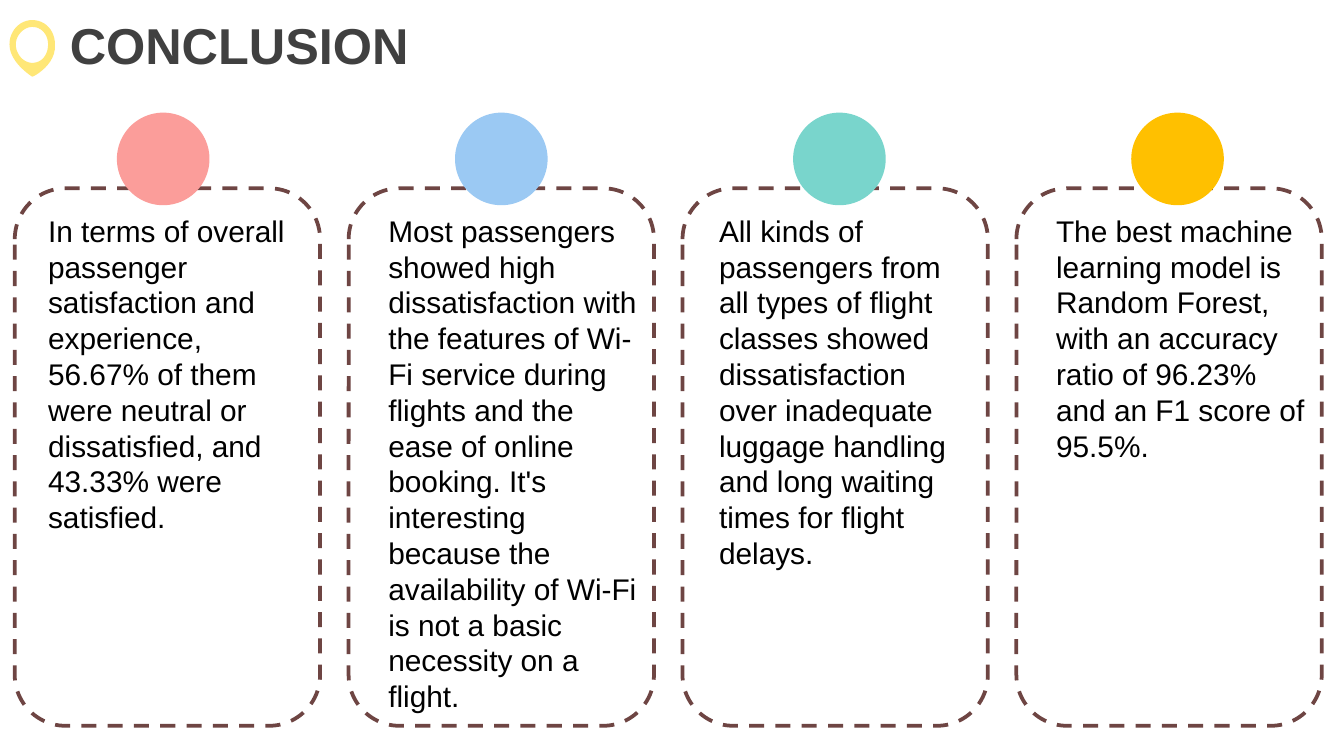
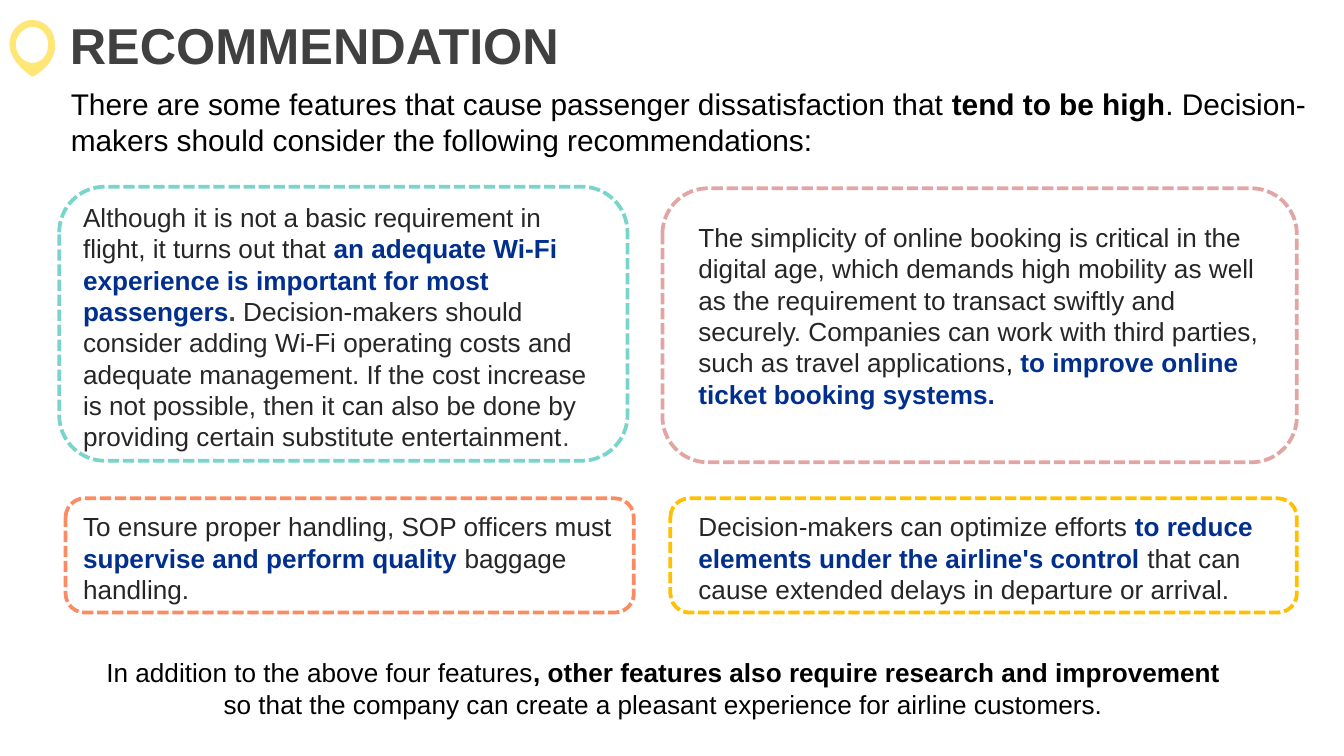
from dataclasses import dataclass
from typing import NamedTuple

from pptx import Presentation
from pptx.dml.color import RGBColor
from pptx.enum.dml import MSO_LINE_DASH_STYLE as Dash
from pptx.enum.shapes import MSO_SHAPE as Preset
from pptx.enum.text import MSO_AUTO_SIZE as AutoSize, PP_ALIGN as Align
from pptx.shapes.autoshape import Shape
from pptx.slide import Slide
from pptx.util import Cm, Pt

FONT = "Arial"
BLACK = RGBColor(0x00, 0x00, 0x00)
CHARCOAL = RGBColor(0x26, 0x26, 0x26)
GREY = RGBColor(0x40, 0x40, 0x40)
NAVY = RGBColor(0x00, 0x2F, 0x8E)
BROWN = RGBColor(0x6E, 0x45, 0x43)
YELLOW = RGBColor(0xFF, 0xE7, 0x77)
PINK = RGBColor(0xFB, 0x9D, 0x9A)
BLUE = RGBColor(0x9B, 0xC9, 0xF3)
TEAL = RGBColor(0x79, 0xD5, 0xCC)
GOLD = RGBColor(0xFF, 0xC0, 0x00)
ROSE = RGBColor(0xE2, 0xA5, 0xA3)
ORANGE = RGBColor(0xFB, 0x8B, 0x62)

Point = tuple[float, float]
CURVE_STEPS = 12


class Box(NamedTuple):
    left: float
    top: float
    width: float
    height: float

    def lengths(self) -> list[Cm]:
        return [Cm(value) for value in self]


class Phrase(NamedTuple):
    text: str
    color: RGBColor = BLACK
    bold: bool = False


@dataclass(frozen=True)
class Finding:
    text: str
    text_box: Box
    dot_color: RGBColor


@dataclass(frozen=True)
class Advice:
    phrases: list[Phrase]
    text_box: Box
    frame_box: Box
    frame_color: RGBColor


class Contour(NamedTuple):
    start: Point
    curves: list[tuple[Point, Point, Point]]


PIN_OUTLINE = Contour((0.61, 0.38), [
    ((0.86, 0.38), (1.04, 0.58), (1.04, 0.84)),
    ((1.07, 1.22), (0.64, 1.45), (0.61, 1.45)),
    ((0.61, 1.45), (0.18, 1.19), (0.18, 0.84)),
    ((0.18, 0.58), (0.38, 0.38), (0.61, 0.38)),
])
PIN_HOLE = Contour((0.61, 0.51), [
    ((0.79, 0.51), (0.91, 0.66), (0.91, 0.84)),
    ((0.91, 1.04), (0.79, 1.19), (0.61, 1.19)),
    ((0.46, 1.19), (0.30, 1.04), (0.30, 0.84)),
    ((0.30, 0.66), (0.46, 0.51), (0.61, 0.51)),
])

FINDINGS = [
    Finding(
        "In terms of overall passenger satisfaction and experience, 56.67% of them "
        "were neutral or dissatisfied, and 43.33% were satisfied.",
        Box(0.66, 3.89, 5.41, 6.4), PINK),
    Finding(
        "Most passengers showed high dissatisfaction with the features of Wi-Fi "
        "service during flights and the ease of online booking. It's interesting "
        "because the availability of Wi-Fi is not a basic necessity on a flight.",
        Box(7.09, 3.89, 5.28, 9.83), BLUE),
    Finding(
        "All kinds of passengers from all types of flight classes showed "
        "dissatisfaction over inadequate luggage handling and long waiting times "
        "for flight delays.",
        Box(13.34, 3.89, 4.9, 7.09), TEAL),
    Finding(
        "The best machine learning model is Random Forest, with an accuracy ratio "
        "of 96.23% and an F1 score of 95.5%.",
        Box(19.71, 3.89, 5.38, 5.05), GOLD),
]

INTRO = [
    Phrase("There are some features that cause passenger dissatisfaction that "),
    Phrase("tend to be high", bold=True),
    Phrase(". Decision-makers should consider the following recommendations:"),
]
CLOSING = [
    Phrase("In addition to the above four features"),
    Phrase(", other features also require research and improvement ", bold=True),
    Phrase("so that the company can create a pleasant experience for airline customers."),
]
ADVICE = [
    Advice([
        Phrase("Although it is not a basic requirement in flight, it turns out that ",
               CHARCOAL),
        Phrase("an adequate Wi-Fi experience is important for most passengers",
               NAVY, True),
        Phrase(". ", GREY, True),
        Phrase("Decision-makers should consider adding Wi-Fi operating costs and "
               "adequate management. If the cost increase is not possible, then it "
               "can also be done by providing certain substitute entertainment",
               CHARCOAL),
        Phrase(".", GREY),
    ], Box(1.32, 3.68, 10.31, 5.05), Box(1.12, 3.53, 10.74, 5.18), TEAL),
    Advice([
        Phrase("The simplicity of online booking is critical in the digital age, "
               "which demands high mobility as well as the requirement to transact "
               "swiftly and securely. Companies can work with third parties, such "
               "as travel applications", CHARCOAL),
        Phrase(", "),
        Phrase("to improve online ticket booking systems.", NAVY, True),
    ], Box(12.95, 4.06, 11.56, 3.84), Box(12.52, 3.56, 11.99, 5.18), ROSE),
    Advice([
        Phrase("To ensure proper handling, SOP officers must ", CHARCOAL),
        Phrase("supervise and perform quality ", NAVY, True),
        Phrase("baggage handling.", CHARCOAL),
    ], Box(1.32, 9.53, 10.74, 2.06), Box(1.24, 9.42, 10.74, 2.16), ORANGE),
    Advice([
        Phrase("Decision-makers can optimize efforts ", CHARCOAL),
        Phrase("to reduce elements under the airline's control ", NAVY, True),
        Phrase("that can cause extended delays in departure or arrival.", CHARCOAL),
    ], Box(12.95, 9.53, 11.56, 2.06), Box(12.67, 9.42, 11.84, 2.16), GOLD),
]


def add_text(shapes, box: Box, phrases: list[Phrase], size: int,
             align: Align = Align.LEFT) -> None:
    frame = shapes.add_textbox(*box.lengths()).text_frame
    frame.word_wrap = True
    frame.auto_size = AutoSize.SHAPE_TO_FIT_TEXT
    paragraph = frame.paragraphs[0]
    paragraph.alignment = align
    for phrase in phrases:
        run = paragraph.add_run()
        run.text = phrase.text
        run.font.name = FONT
        run.font.size = Pt(size)
        run.font.bold = phrase.bold
        run.font.color.rgb = phrase.color


def add_frame(shapes, box: Box, color: RGBColor, dash: Dash) -> None:
    frame = shapes.add_shape(Preset.ROUNDED_RECTANGLE, *box.lengths())
    frame.shadow.inherit = False
    frame.fill.background()
    frame.line.color.rgb = color
    frame.line.width = Pt(2)
    frame.line.dash_style = dash


def paint(shape: Shape, color: RGBColor) -> None:
    shape.shadow.inherit = False
    shape.fill.solid()
    shape.fill.fore_color.rgb = color
    shape.line.fill.background()


def trace(contour: Contour) -> list[tuple[int, int]]:
    points = []
    start = contour.start
    for first, second, end in contour.curves:
        for step in range(1, CURVE_STEPS + 1):
            t = step / CURVE_STEPS
            u = 1 - t
            x, y = (
                u**3 * a + 3 * u**2 * t * b + 3 * u * t**2 * c + t**3 * d
                for a, b, c, d in zip(start, first, second, end)
            )
            points.append((Cm(x), Cm(y)))
        start = end
    return points


def add_pin(slide: Slide) -> None:
    outline, hole = trace(PIN_OUTLINE), trace(PIN_HOLE)
    builder = slide.shapes.build_freeform(*outline[-1])
    builder.add_line_segments(outline, close=True)
    builder.move_to(*hole[-1])
    builder.add_line_segments(hole, close=True)
    paint(builder.convert_to_shape(), YELLOW)


def add_heading(slide: Slide, title: str) -> None:
    add_text(slide.shapes, Box(1.07, 0.15, 20.19, 1.42), [Phrase(title, GREY, True)], 27)
    add_pin(slide)


def build_conclusion(slide: Slide) -> None:
    for column in range(len(FINDINGS)):
        add_frame(slide.shapes, Box(0.28 + 6.31 * column, 3.56, 5.77, 10.16),
                  BROWN, Dash.DASH)
    add_heading(slide, "CONCLUSION")
    for finding in FINDINGS:
        add_text(slide.shapes, finding.text_box, [Phrase(finding.text)], 16)
    for column, finding in enumerate(FINDINGS):
        dot_box = Box(2.21 + 6.39 * column, 2.13, 1.75, 1.75)
        dot = slide.shapes.add_shape(Preset.FLOWCHART_CONNECTOR, *dot_box.lengths())
        paint(dot, finding.dot_color)


def build_recommendation(slide: Slide) -> None:
    add_heading(slide, "RECOMMENDATION")
    add_text(slide.shapes, Box(1.09, 1.5, 24.26, 1.63), INTRO, 16)
    add_text(slide.shapes, Box(1.63, 12.29, 21.82, 1.45), CLOSING, 14, Align.CENTER)
    for advice in ADVICE:
        card = slide.shapes.add_group_shape()
        add_text(card.shapes, advice.text_box, advice.phrases, 14)
        add_frame(card.shapes, advice.frame_box, advice.frame_color, Dash.SQUARE_DOT)


def main() -> None:
    deck = Presentation()
    deck.slide_width, deck.slide_height = Cm(25.4), Cm(14.29)
    blank = deck.slide_layouts[6]
    for build in (build_conclusion, build_recommendation):
        build(deck.slides.add_slide(blank))
    deck.save("out.pptx")


if __name__ == "__main__":
    main()
